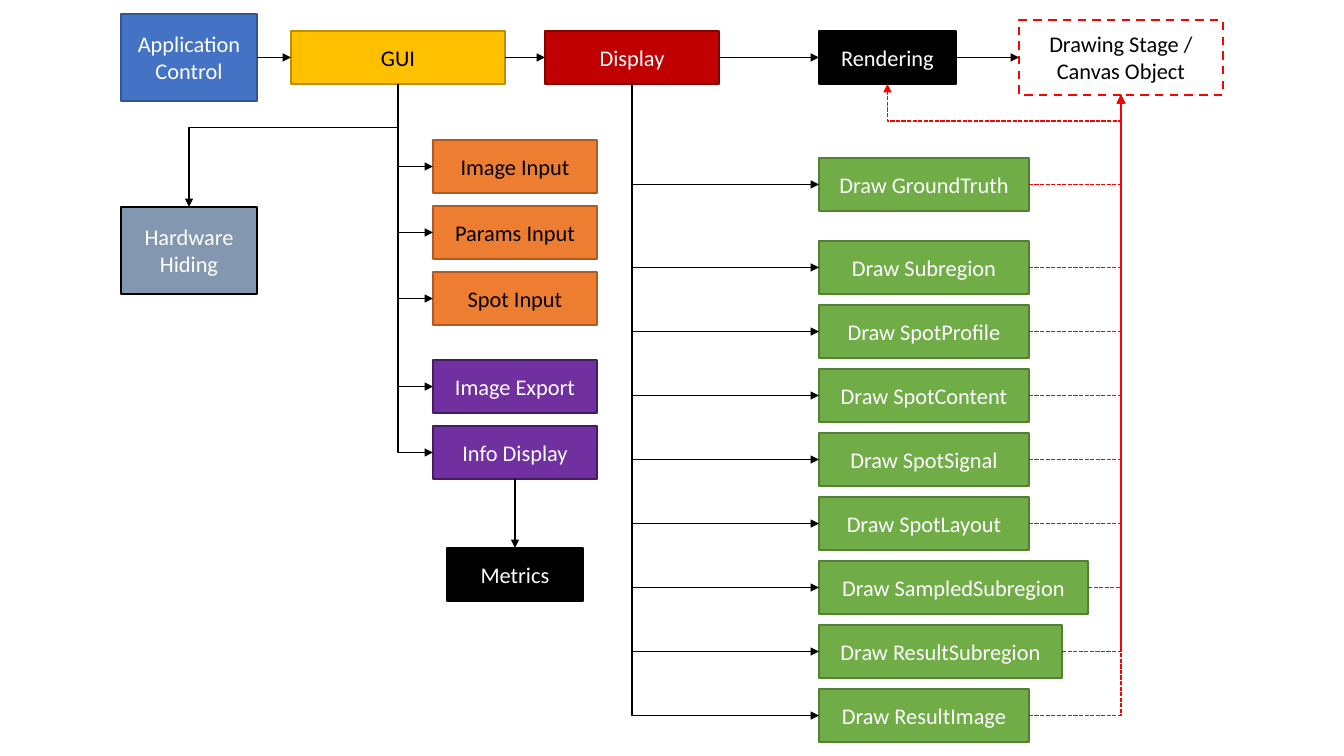
"""Build the module flow diagram, from application control to the drawing stage."""
import pptx
import pptx.util
import pptx.dml.color
import pptx.enum.dml
import pptx.enum.shapes
import pptx.enum.text
import pptx.oxml.ns
import lxml.etree

PX = 914400 / 100.8
TOP, LEFT, DOWN, RIGHT = range(4)
DASH = pptx.enum.dml.MSO_LINE
TINT = {
    "blue": ("4472C4", "325491", "FFFFFF"),
    "gold": ("FFC000", "BD8E00", "000000"),
    "red": ("C00000", "820000", "FFFFFF"),
    "black": ("000000", "000000", "FFFFFF"),
    "slate": ("8497B0", "000000", "FFFFFF"),
    "white": ("FFFFFF", "FF0000", "000000"),
    "orange": ("ED7D31", "AF5C24", "000000"),
    "purple": ("7030A0", "441D61", "FFFFFF"),
    "green": ("70AD47", "538035", "FFFFFF"),
}
FRAME = {"word_wrap": True, "vertical_anchor": pptx.enum.text.MSO_ANCHOR.MIDDLE}
FONT = {"name": "Calibri", "size": pptx.util.Pt(16)}
RULE = {"width": pptx.util.Pt(1)}
SOLID = ("000000", RULE)
DOTS = ("FF0000", {**RULE, "dash_style": DASH.SQUARE_DOT})

deck = pptx.Presentation()
deck.slide_width, deck.slide_height = round(1344 * PX), round(756 * PX)
slide = deck.slides.add_slide(deck.slide_layouts[6])
color = pptx.dml.color.RGBColor.from_string


def box(text, tint, x, y, wide, high=53, rule=RULE):
    """Add a labelled rectangle."""
    fill, edge, ink = TINT[tint]
    shape = slide.shapes.add_shape(
        pptx.enum.shapes.MSO_SHAPE.RECTANGLE, *[round(v * PX) for v in (x, y, wide, high)])
    shape.shadow.inherit = False
    shape.fill.solid()
    shape.fill.fore_color.rgb = color(fill)
    shape.line.color.rgb = color(edge)
    shape.text_frame.text = text
    jobs = [(shape.line, rule), (shape.text_frame, FRAME)]
    for para in shape.text_frame.paragraphs:
        para.alignment = pptx.enum.text.PP_ALIGN.CENTER
        para.font.color.rgb = color(ink)
        jobs.append((para.font, FONT))
    for item, values in jobs:
        for key, value in values.items():
            setattr(item, key, value)
    return shape


def link(start, out, end, into, bend="line", look=SOLID, turn=None, flip=0, bias=()):
    """Glue an arrow between two boxes, turned by whole degrees if asked."""
    arrow = slide.shapes.add_connector(pptx.enum.shapes.MSO_CONNECTOR.STRAIGHT, 0, 0, 0, 0)
    arrow.begin_connect(start, out)
    arrow.end_connect(end, into)
    ink, rule = look
    arrow.line.color.rgb = color(ink)
    for key, value in rule.items():
        setattr(arrow.line, key, value)
    form = arrow.element.spPr
    qn = pptx.oxml.ns.qn
    geom = form.find(qn("a:prstGeom"))
    geom.set("prst", bend)
    for rank, value in enumerate(bias, 1):
        lxml.etree.SubElement(geom.find(qn("a:avLst")), qn("a:gd"),
                              name=f"adj{rank}", fmla=f"val {value}")
    lxml.etree.SubElement(form.find(qn("a:ln")), qn("a:tailEnd"), type="triangle")
    lxml.etree.SubElement(form, qn("a:effectLst"))
    if turn:
        wide, high = arrow.width, arrow.height
        arrow.left += (wide - high) // 2
        arrow.top += (high - wide) // 2
        arrow.width, arrow.height = high, wide
        frame = form.find(qn("a:xfrm"))
        for key, value in {"rot": turn * 60000, "flipH": flip, "flipV": 0}.items():
            frame.set(key, str(value))


app = box("Application\nControl", "blue", 121, 14, 136, 87)
gui = box("GUI", "gold", 291, 31, 214)
display = box("Display", "red", 545, 31, 174)
render = box("Rendering", "black", 819, 31, 137)
stage = box("Drawing Stage / Canvas Object", "white", 1019, 20, 204, 75,
            {"width": pptx.util.Pt(1.5), "dash_style": DASH.DASH})
hiding = box("Hardware Hiding", "slate", 121, 207, 136, 87)
metrics = box("Metrics", "black", 447, 548, 136)

chain = [app, gui, display, render, stage]
for start, end in zip(chain, chain[1:]):
    link(start, RIGHT, end, LEFT)
link(gui, DOWN, hiding, TOP, "bentConnector3", turn=90, bias=[35500])

groups = [("orange", 140, ["Image Input", "Params Input", "Spot Input"]),
          ("purple", 360, ["Image Export", "Info Display"])]
for tint, top, names in groups:
    for row, name in enumerate(names):
        panel = box(name, tint, 433, top + 66 * row, 164)
        link(gui, DOWN, panel, LEFT, "bentConnector2", turn=270, flip=1)
link(panel, DOWN, metrics, TOP)

names = ["Subregion", "SpotProfile", "SpotContent", "SpotSignal", "SpotLayout",
         "SampledSubregion", "ResultSubregion", "ResultImage"]
wides = {"SampledSubregion": 269, "ResultSubregion": 243}
truth = box("Draw GroundTruth", "green", 819, 158, 210)
draws = [truth] + [box(f"Draw {name}", "green", 819, 241 + 64 * row, wides.get(name, 210))
                   for row, name in enumerate(names)]
for draw in draws:
    link(display, DOWN, draw, LEFT, "bentConnector2", turn=270, flip=1)
for draw in draws:
    link(draw, RIGHT, stage, DOWN, "bentConnector2", DOTS)
link(truth, RIGHT, render, DOWN, "bentConnector4", DOTS, bias=[-65600, 63000])

deck.save("out.pptx")
